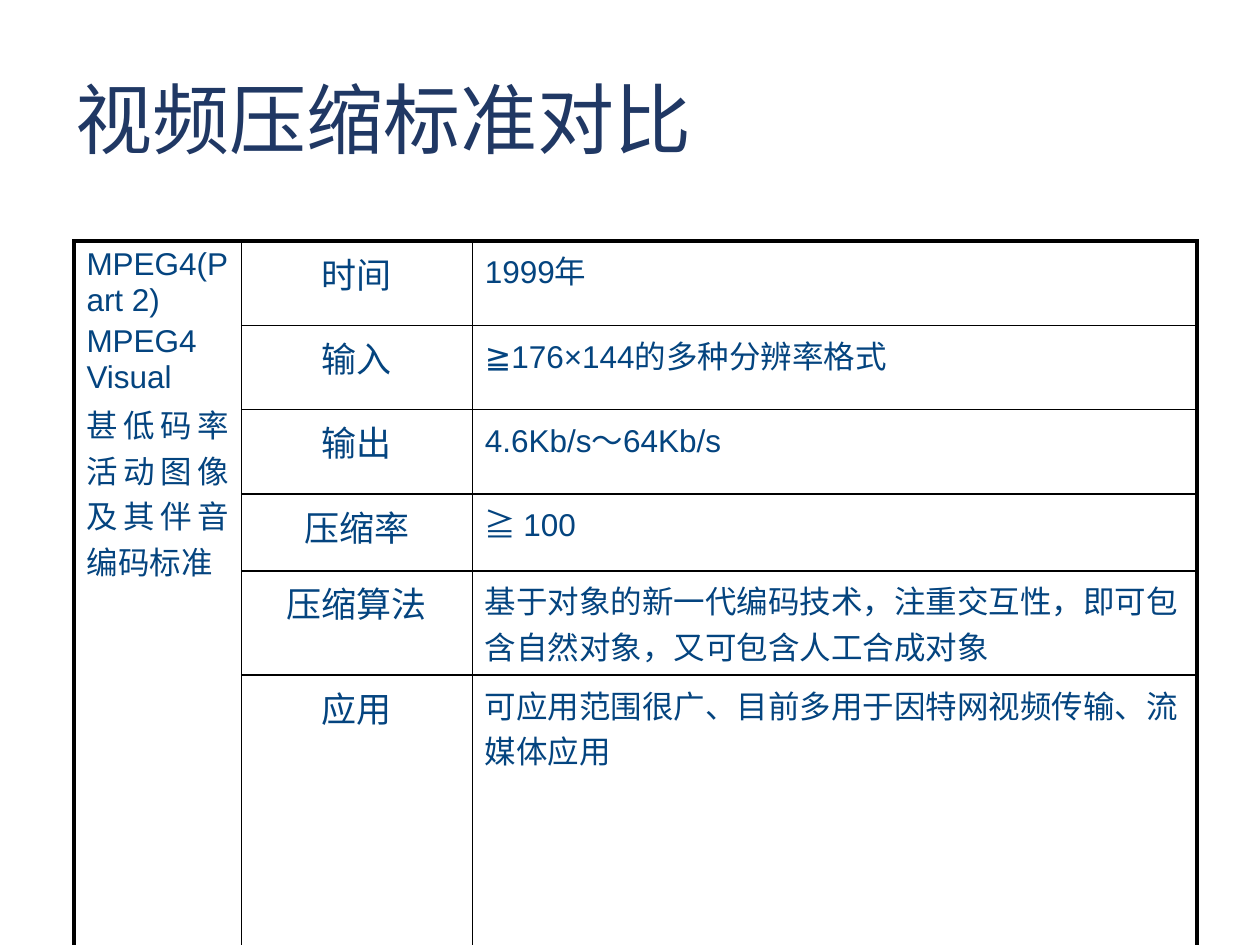
from lxml import etree
from pptx import Presentation
from pptx.dml.color import RGBColor
from pptx.enum.text import MSO_ANCHOR, PP_ALIGN
from pptx.oxml.ns import qn
from pptx.util import Cm, Pt

MIDDLE = MSO_ANCHOR.MIDDLE
LEFT, CENTER, JUST = PP_ALIGN.LEFT, PP_ALIGN.CENTER, PP_ALIGN.JUSTIFY
LATIN, HAN, SIGN = "Arial", "Noto Sans CJK SC", "Noto Sans CJK JP"
NAVY, BLUE, BLACK = "203864", "04447F", "000000"
THIN, THICK = 1, 2.25

COLS = [3.38, 4.65, 14.61]
HEIGHTS = [1.7, 1.7, 1.7, 1.55, 2.1, 2.1]
NAMES = ["MPEG4(Part 2)", "MPEG4 Visual", "甚低码率活动图像及其伴音编码标准"]
# label, alignment of the value, runs of the value
ROWS = [
    ("时间", LEFT, [("1999年", LATIN)]),
    ("输入", JUST, [("≧176×144的多种分辨率格式", LATIN)]),
    ("输出", JUST, [("4.6Kb/s～64Kb/s", LATIN)]),
    ("压缩率", LEFT, [("≧ ", SIGN), ("100", LATIN)]),
    ("压缩算法", LEFT, [("基于对象的新一代编码技术，注重交互性，即可包含自然对象，又可包含人工合成对象", LATIN)]),
    ("应用", LEFT, [("可应用范围很广、目前多用于因特网视频传输、流媒体应用", LATIN)]),
]


def tint(code):
    return RGBColor.from_string(code)


class Deck:
    def __init__(self):
        self.prs = Presentation()
        self.prs.slide_width, self.prs.slide_height = Cm(25.4), Cm(19.05)
        self.slide = self.prs.slides.add_slide(self.prs.slide_layouts[6])

    def run(self, para, text, size, font, color):
        run = para.add_run()
        run.text = text
        run.font.size, run.font.name = Pt(size), font
        run.font.color.rgb = tint(color)
        east = SIGN if font == SIGN else HAN
        etree.SubElement(run.font._element, qn("a:ea"), typeface=east)

    def title(self, text):
        box = self.slide.shapes.add_textbox(Cm(1.27), Cm(1.27), Cm(22.86), Cm(2.46))
        frame = box.text_frame
        frame.word_wrap, frame.vertical_anchor = True, MIDDLE
        para = frame.paragraphs[0]
        para.line_spacing = 0.9
        self.run(para, text, 44, HAN, NAVY)

    def fill(self, cell, paras, size, align):
        """Write paragraphs, each a list of (text, font) runs, into a cell."""
        frame = cell.text_frame
        for n, runs in enumerate(paras):
            para = frame.add_paragraph() if n else frame.paragraphs[0]
            para.alignment = align
            if n:
                para.space_before = Pt(0.2 * size)
            for text, font in runs:
                self.run(para, text, size, font, BLUE)

    def edge(self, cell, sides):
        """Draw the borders of a cell, given as widths for L, R, T and B."""
        cell.fill.background()
        props = cell._tc.get_or_add_tcPr()
        for n, (side, width) in enumerate(sides.items()):
            line = etree.Element(qn("a:ln" + side), w=str(Pt(width)))
            solid = etree.SubElement(line, qn("a:solidFill"))
            etree.SubElement(solid, qn("a:srgbClr"), val=BLACK)
            props.insert(n, line)

    def table(self):
        last, end = len(ROWS) - 1, len(COLS) - 1
        frame = self.slide.shapes.add_table(
            len(ROWS), len(COLS), Cm(1.49), Cm(4.86), Cm(sum(COLS)), Cm(sum(HEIGHTS)))
        table = frame.table
        table.first_row = table.horz_banding = False
        for col, width in zip(table.columns, COLS):
            col.width = Cm(width)
        for row, height in zip(table.rows, HEIGHTS):
            row.height = Cm(height)
        table.cell(0, 0).merge(table.cell(last, 0))
        self.fill(table.cell(0, 0), [[(name, LATIN)] for name in NAMES], 18, JUST)
        for r, (label, align, runs) in enumerate(ROWS):
            self.fill(table.cell(r, 1), [[(label, LATIN)]], 20, CENTER)
            self.fill(table.cell(r, 2), [runs], 18, align)
            for c in range(len(COLS)):
                outer = {"L": c == 0, "R": c == end, "T": r == 0,
                         "B": r == last or c == 0}
                self.edge(table.cell(r, c),
                          {s: THICK if out else THIN for s, out in outer.items()})


def main():
    deck = Deck()
    deck.title("视频压缩标准对比")
    deck.table()
    deck.prs.save("out.pptx")


if __name__ == "__main__":
    main()
